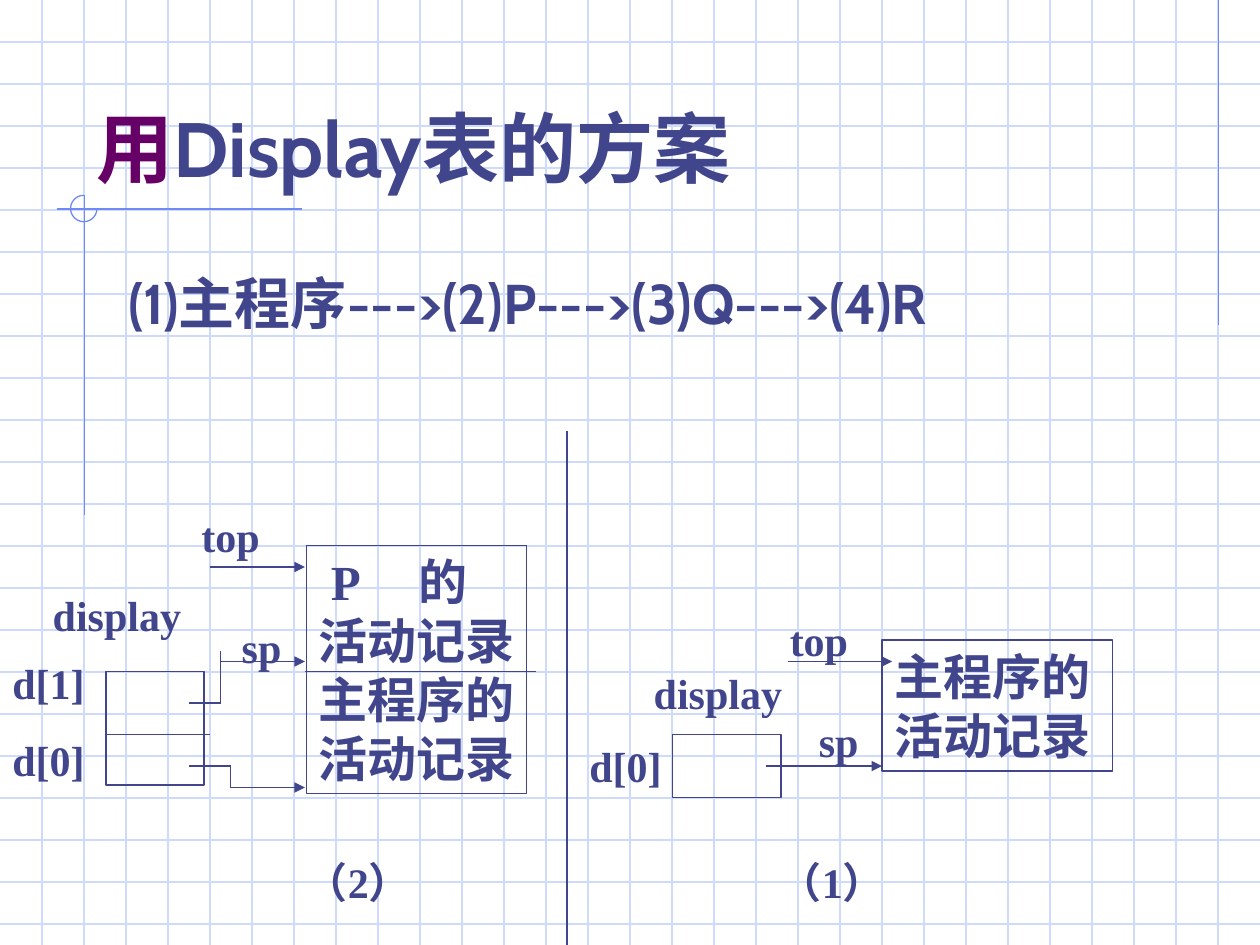
import pptx
import pptx.util
import pptx.dml.color
import pptx.enum.shapes
import pptx.enum.text
import pptx.oxml
import pptx.oxml.ns

Inches = pptx.util.Inches
Pt = pptx.util.Pt
Shapes = pptx.enum.shapes.MSO_SHAPE

INK = pptx.dml.color.RGBColor(0x40, 0x45, 0x8C)
PURPLE = pptx.dml.color.RGBColor(0x66, 0x00, 0x66)
GRID = pptx.dml.color.RGBColor(0xCF, 0xDB, 0xFD)
ACCENT = pptx.dml.color.RGBColor(0x6F, 0x89, 0xF7)

WIDTH, HEIGHT = 10, 7.5
SERIF, SANS = "Times New Roman", "Cabin"


def add_line(slide, start, end, color=INK, arrow=False):
    line = slide.shapes.add_connector(
        pptx.enum.shapes.MSO_CONNECTOR.STRAIGHT,
        *(Inches(value) for value in (*start, *end)))
    line.line.color.rgb = color
    line.line.width = Pt(0.75)
    if arrow:
        head = pptx.oxml.parse_xml(
            '<a:tailEnd %s type="triangle"/>' % pptx.oxml.ns.nsdecls("a"))
        line.line._get_or_add_ln().append(head)
    line._element.spPr.append(
        pptx.oxml.parse_xml("<a:effectLst %s/>" % pptx.oxml.ns.nsdecls("a")))


def add_path(slide, points, arrow=False):
    """Draw connected segments; the last one may carry an arrowhead."""
    for index, (start, end) in enumerate(zip(points, points[1:]), 2):
        add_line(slide, start, end, arrow=arrow and index == len(points))


def format_run(run, size, font, color=INK):
    run.font.name = font
    run.font.size = Pt(size)
    run.font.bold = True
    run.font.color.rgb = color


def write(shape, lines, size, font=SERIF, space=0):
    frame = shape.text_frame
    frame.word_wrap = True
    frame.text = "\n".join(lines)
    for index, paragraph in enumerate(frame.paragraphs):
        paragraph.alignment = pptx.enum.text.PP_ALIGN.LEFT
        paragraph.space_before = Pt(space if index else 0)
        for run in paragraph.runs:
            format_run(run, size, font)
    return frame


def add_label(slide, box, lines, size=24, **style):
    label = slide.shapes.add_textbox(*(Inches(value) for value in box))
    return write(label, lines, size, **style)


def add_outline(slide, box, kind=Shapes.RECTANGLE, color=INK):
    outline = slide.shapes.add_shape(kind, *(Inches(value) for value in box))
    outline.shadow.inherit = False
    outline.fill.background()
    outline.line.color.rgb = color
    outline.line.width = Pt(0.75)
    return outline


def add_record(slide, box, lines):
    frame = write(add_outline(slide, box), lines, 28)
    frame.margin_right = Inches(0.05)
    frame.vertical_anchor = pptx.enum.text.MSO_ANCHOR.TOP
    return frame


def draw_background(slide, width, height):
    # Grid of three squares to the inch
    for row in range(1, int(height * 3) + 1):
        add_line(slide, (0, row / 3), (width, row / 3), GRID)
    for column in range(1, int(width * 3)):
        add_line(slide, (column / 3, 0), (column / 3, height), GRID)
    # Accent lines and the three-quarter circle at their crossing
    add_line(slide, (9.67, 0), (9.67, 2.58), ACCENT)
    add_line(slide, (0.45, 1.66), (2.4, 1.66), ACCENT)
    add_line(slide, (0.67, 1.55), (0.67, 4.09), ACCENT)
    ring = add_outline(slide, (0.56, 1.55, 0.21, 0.21), Shapes.ARC, ACCENT)
    ring.adjustments[0] = 0
    ring.adjustments[1] = 162  # 270 degrees


def draw_heading(slide, left, top):
    # Title with its first character in purple
    title = add_label(slide, (left, top, 8.5, 1.25), ["用"], 44, font=SANS)
    title.vertical_anchor = pptx.enum.text.MSO_ANCHOR.BOTTOM
    title_line = title.paragraphs[0]
    title_line.runs[0].font.color.rgb = PURPLE
    subject = title_line.add_run()
    subject.text = "Display表的方案"
    format_run(subject, 44, SANS)
    # Call sequence
    add_label(slide, (left + 0.25, top + 1.75, 8.5, 0.7),
              ["(1)主程序--->(2)P--->(3)Q--->(4)R"], 32, font=SANS)


def draw_call_of_p(slide, left, top):
    def at(x, y, *size):
        return (left + x, top + y, *size)

    # Activation records on the stack
    records = add_record(slide, at(2.43, 0.33, 1.75, 1.97),
                         [" P\t的", "活动记录", "主程序的", "活动记录"])
    tab_stops = pptx.oxml.parse_xml(
        '<a:tabLst %s><a:tab pos="%d" algn="l"/></a:tabLst>'
        % (pptx.oxml.ns.nsdecls("a"), Inches(0.79)))
    records.paragraphs[0]._p.get_or_add_pPr().append(tab_stops)
    add_line(slide, at(2.42, 1.33), at(4.25, 1.33))
    # Display table
    add_outline(slide, at(0.84, 1.33, 0.78, 0.9))
    add_line(slide, at(0.83, 1.83), at(1.67, 1.83))
    add_label(slide, at(0, 1.17, 1, 1.11), ["d[1]", "d[0]"], space=15)
    add_label(slide, at(0.32, 0.63, 1.3, 0.5), ["display"])
    # Pointers
    add_path(slide, [at(1.5, 1.58), at(1.75, 1.58), at(1.75, 1.17)])
    add_line(slide, at(1.75, 1.25), at(2.42, 1.25), arrow=True)
    add_path(slide, [at(1.5, 2.08), at(1.83, 2.08), at(1.83, 2.25),
                     at(2.42, 2.25)], arrow=True)
    add_label(slide, at(1.82, 0.88, 0.6, 0.5), ["sp"])
    add_line(slide, at(1.67, 0.5), at(2.42, 0.5), arrow=True)
    add_label(slide, at(1.5, 0, 1.06, 0.5), ["top"])
    # Step number
    add_label(slide, at(2.33, 2.75, 1.33, 0.5), ["（2）"])


def draw_main_program(slide, left, top):
    def at(x, y, *size):
        return (left + x, top + y, *size)

    # Activation record on the stack
    add_record(slide, at(2.42, 0.25, 1.83, 1.04), ["主程序的", "活动记录"])
    # Display table
    add_outline(slide, at(0.76, 1, 0.86, 0.5))
    add_label(slide, at(0, 1, 0.83, 0.5), ["d[0]"])
    add_label(slide, at(0.51, 0.42, 1.3, 0.5), ["display"])
    # Pointers
    add_line(slide, at(1.5, 1.25), at(2.42, 1.25), arrow=True)
    add_label(slide, at(1.82, 0.8, 0.6, 0.5), ["sp"])
    add_line(slide, at(1.67, 0.42), at(2.5, 0.42), arrow=True)
    add_label(slide, at(1.59, 0, 0.77, 0.5), ["top"])
    # Step number
    add_label(slide, at(1.51, 1.92, 1.19, 0.5), ["（1）"])


def main():
    deck = pptx.Presentation()
    deck.slide_width, deck.slide_height = Inches(WIDTH), Inches(HEIGHT)
    slide = deck.slides.add_slide(deck.slide_layouts[6])
    draw_background(slide, WIDTH, HEIGHT)
    draw_heading(slide, 0.67, 0.33)
    draw_call_of_p(slide, 0, 4)
    draw_main_program(slide, 4.58, 4.83)
    # Divider between the two steps
    add_line(slide, (4.5, 3.42), (4.5, HEIGHT))
    deck.save("out.pptx")


if __name__ == "__main__":
    main()
